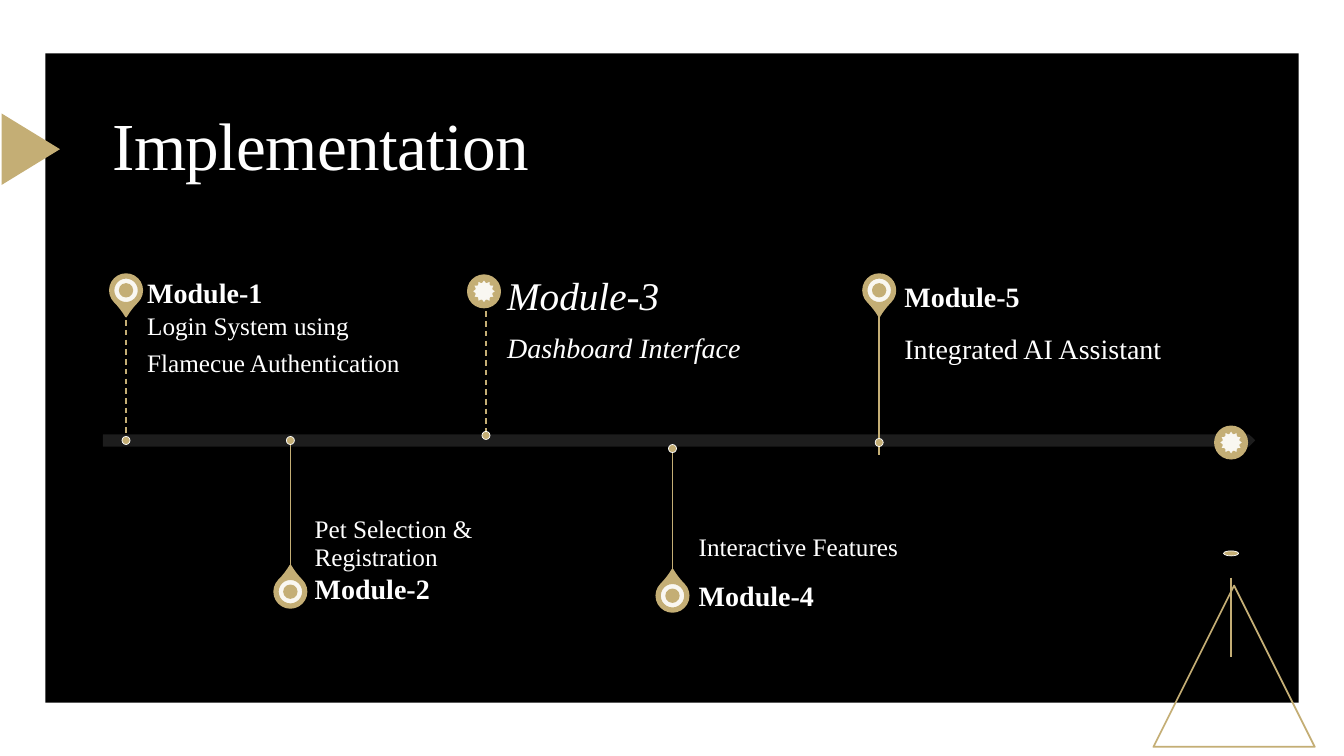
from pptx import Presentation
from pptx.dml.color import RGBColor
from pptx.enum import dml, shapes, text
from pptx.oxml.ns import qn
from pptx.util import Inches, Pt
from lxml import etree

GOLD, WHITE, BLACK, GREY = "C4AE75", "FFFFFF", "000000", "212121"
FONT = "Times New Roman"
KIND = shapes.MSO_SHAPE
TOP, MID, LOW = text.MSO_ANCHOR.TOP, text.MSO_ANCHOR.MIDDLE, text.MSO_ANCHOR.BOTTOM

# Content: stem x, pin y, dot y, text x, head y, body y
MODULES = [
    dict(head="Module-1", body=["Login System using", "Flamecue Authentication"],
         at=(1.25, 2.88, 4.37, 1.46, 2.70, 2.99), size=18, pad=0.12, dash=True),
    dict(head="Module-2", body=["Pet Selection & Registration"],
         at=(2.88, 5.87, 4.37, 3.12, 5.63, 4.52), size=18, pad=0.12),
    dict(head="Module-3", body=["Dashboard Interface"],
         at=(4.82, 2.89, 4.32, 5.03, 2.73, 3.20), size=20, pad=0.14,
         dash=True, star=True),
    dict(head="Module-4", body=["Interactive Features"],
         at=(6.67, 5.91, 4.45, 6.93, 5.70, 4.41), size=18, pad=0.12),
    dict(head="Module-5", body=["Integrated AI Assistant"],
         at=(8.72, 2.88, 4.39, 8.97, 2.74, 3.21), size=20, pad=0.14, tail=0.12),
]

deck = Presentation()
deck.slide_width, deck.slide_height = Inches(13.33), Inches(7.5)
slide = deck.slides.add_slide(deck.slide_layouts[6])


def color(code):
    return RGBColor.from_string(code)


def shape(kind, x, y, w, h, fill=None, line=None, width=1.25, turn=0, alpha=None):
    item = slide.shapes.add_shape(kind, Inches(x), Inches(y), Inches(w), Inches(h))
    item.shadow.inherit = False
    item.rotation = turn
    if fill:
        item.fill.solid()
        item.fill.fore_color.rgb = color(fill)
    else:
        item.fill.background()
    if alpha:
        node = item._element.spPr.find(qn("a:solidFill"))[0]
        etree.SubElement(node, qn("a:alpha")).set("val", str(alpha * 1000))
    if line:
        item.line.color.rgb = color(line)
        item.line.width = Pt(width)
    else:
        item.line.fill.background()
    return item


def center(kind, x, y, w, h, **kw):
    return shape(kind, x - w / 2, y - h / 2, w, h, **kw)


def stem(x, start, end, dash=False):
    line = slide.shapes.add_connector(
        shapes.MSO_CONNECTOR.STRAIGHT, Inches(x), Inches(start), Inches(x), Inches(end))
    line.line.color.rgb = color(GOLD)
    line.line.width = Pt(1)
    if dash:
        line.line.dash_style = dml.MSO_LINE.DASH
    etree.SubElement(line._element.spPr, qn("a:effectLst"))


def dot(x, y, w=0.08, h=0.08):
    center(KIND.OVAL, x, y, w, h, fill=GOLD, line=WHITE, width=0.5)


def pin(x, y, turn=0, star=False):
    outer = center(KIND.OVAL if star else KIND.TEAR, x, y, 0.32, 0.32,
                   fill=GOLD, line=GOLD, turn=turn)
    if not star:
        outer.adjustments[0] = 1.15
    center(KIND.STAR_12_POINT if star else KIND.DONUT, x, y, 0.25, 0.25,
           fill=WHITE, line=GOLD, alpha=90)


def write(lines, x, y, w, h, size, bold=False, italic=False, anchor=MID,
          pad=(0, 0, 0, 0), after=0, track=None):
    box = slide.shapes.add_textbox(Inches(x), Inches(y), Inches(w), Inches(h))
    frame = box.text_frame
    frame.word_wrap = True
    frame.vertical_anchor = anchor
    (frame.margin_left, frame.margin_top,
     frame.margin_right, frame.margin_bottom) = map(Inches, pad)
    for i, words in enumerate(lines):
        para = frame.paragraphs[0] if i == 0 else frame.add_paragraph()
        para.line_spacing, para.space_after = 0.9, Pt(after)
        run = para.add_run()
        run.text = words
        font = run.font
        font.name, font.size, font.bold, font.italic = FONT, Pt(size), bold, italic
        font.color.rgb = color(WHITE)
        if track:
            run._r.get_or_add_rPr().set("spc", str(int(track * 100)))


# Backdrop and title
shape(KIND.RECTANGLE, 0.45, 0.53, 12.43, 6.44, fill=BLACK)
shape(KIND.ISOSCELES_TRIANGLE, 11.44, 5.81, 1.6, 1.6, line=GOLD)
shape(KIND.ISOSCELES_TRIANGLE, -0.05, 1.19, 0.71, 0.58, fill=GOLD, turn=90)
write(["Implementation"], 1.02, 0.98, 11.43, 1, 48, pad=(0.1, 0.05, 0.1, 0.05), track=-0.5)

# Timeline bar
shape(KIND.PENTAGON, 1.02, 4.31, 11.43, 0.12, fill=GREY, alpha=90)

# Modules above and below the bar
for mod in MODULES:
    x, pin_y, dot_y, left, head_y, body_y = mod["at"]
    above = pin_y < dot_y
    star = mod.get("star", False)
    pad = mod["pad"]
    pin(x - 0.02 if star else x, pin_y, 135 if above else 315, star)
    write(mod["body"], left, body_y, 2.71, 1.27, mod["size"], italic=star,
          anchor=TOP if above else LOW, after=7,
          pad=(0, pad, pad, 0.2) if above else (0, 0.19, 0, pad))
    write([mod["head"]], left, head_y, 2.71, 0.45, 28 if star else 20,
          bold=not star, italic=star)
    stem(x, pin_y + (0.2 if above else -0.2), dot_y + mod.get("tail", 0),
         mod.get("dash", False))
    dot(x, dot_y)

# End marker
pin(12.21, 4.39, 315, star=True)
stem(12.21, 5.73, 6.52)
dot(12.21, 5.49, 0.15, 0.05)

deck.save("out.pptx")
